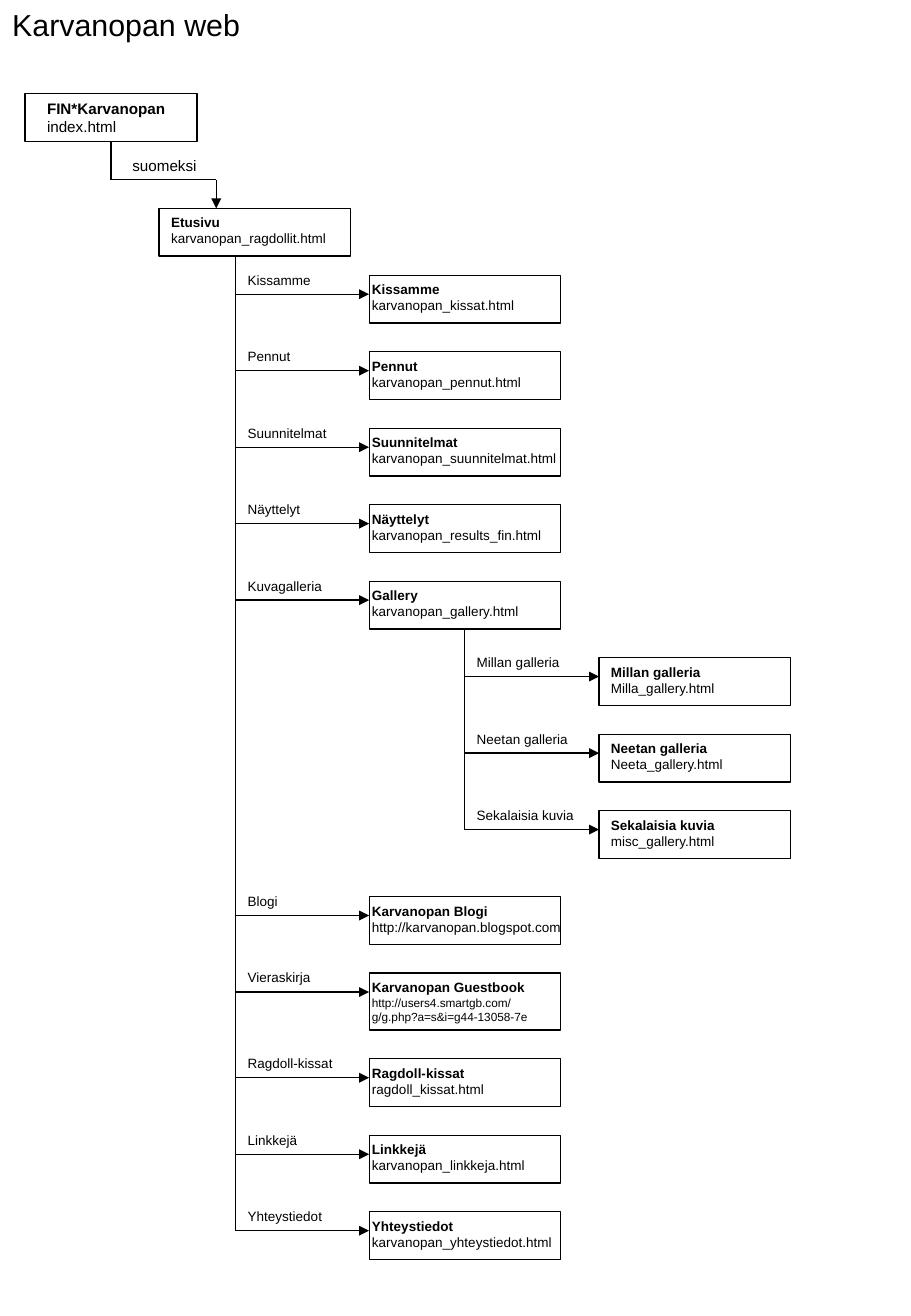
"""Site map of the Karvanopan web pages."""
from lxml import etree
from pptx import Presentation
from pptx.dml.color import RGBColor
from pptx.enum.shapes import MSO_CONNECTOR, MSO_SHAPE
from pptx.enum.text import MSO_ANCHOR, MSO_AUTO_SIZE, PP_ALIGN
from pptx.oxml.ns import qn
from pptx.util import Pt

RECTANGLE = MSO_SHAPE.RECTANGLE
STRAIGHT = MSO_CONNECTOR.STRAIGHT
TOP = MSO_ANCHOR.TOP
NO_FIT = MSO_AUTO_SIZE.NONE
LEFT = PP_ALIGN.LEFT
BOTTOM_SIDE = 2

COLORS = {"ink": "000000"}
INK = RGBColor.from_string(COLORS["ink"])
FONT = "Arial"

ROW_STEP = 45.36
BOX_WIDTH, BOX_HEIGHT = 113.4, 28.35
ARROW_DROP = 11.2
LABEL_RISE = 5.7
TRUNK_X, PAGE_X = 139.7, 218.8
GALLERY_TRUNK_X, GALLERY_PAGE_X = 275.5, 355.1
ELBOW_X, ELBOW_Y = 128.2, 106.6
ETUSIVU_X, ETUSIVU_Y = 94.3, 123.6

deck = Presentation()
deck.slide_width, deck.slide_height = Pt(540), Pt(780.48)
page = deck.slides.add_slide(deck.slide_layouts[5])


def write(box, lines):
    """Fill a box with (text, size, bold) lines."""
    frame = box.text_frame
    settings = {"word_wrap": True, "auto_size": NO_FIT, "vertical_anchor": TOP,
                "margin_left": Pt(7.2), "margin_right": Pt(7.2),
                "margin_top": Pt(3.6), "margin_bottom": Pt(3.6)}
    for name, value in settings.items():
        setattr(frame, name, value)
    for index, (text, size, bold) in enumerate(lines):
        para = frame.add_paragraph() if index else frame.paragraphs[0]
        para.alignment = LEFT
        span = para.add_run()
        span.text = text
        for name, value in {"name": FONT, "size": Pt(size), "bold": bold}.items():
            setattr(span.font, name, value)
        span.font.color.rgb = INK


def draw_line(x1, y1, x2, y2, arrow=False, source=None):
    """Draw a line, optionally with an arrowhead or joined to a box's bottom."""
    line = page.shapes.add_connector(STRAIGHT, Pt(x1), Pt(y1), Pt(x2), Pt(y2))
    if source is not None:
        line.begin_connect(source, BOTTOM_SIDE)
    line.line.color.rgb = INK
    line.line.width = Pt(0.75)
    properties = line.element.spPr
    if arrow:
        etree.SubElement(properties.find(qn("a:ln")), qn("a:tailEnd"), type="triangle")
    etree.SubElement(properties, qn("a:effectLst"))


title = page.shapes.title
title.left, title.top, title.width, title.height = Pt(0), Pt(0), Pt(160), Pt(29)
write(title, [("Karvanopan web", 18, False)])

main_rows = [
    ("Kissamme", "Kissamme", ["karvanopan_kissat.html"]),
    ("Pennut", "Pennut", ["karvanopan_pennut.html"]),
    ("Suunnitelmat", "Suunnitelmat", ["karvanopan_suunnitelmat.html"]),
    ("Näyttelyt", "Näyttelyt", ["karvanopan_results_fin.html"]),
    ("Kuvagalleria", "Gallery", ["karvanopan_gallery.html"]),
]
gallery_rows = [
    ("Millan galleria", "Millan galleria", ["Milla_gallery.html"]),
    ("Neetan galleria", "Neetan galleria", ["Neeta_gallery.html"]),
    ("Sekalaisia kuvia", "Sekalaisia kuvia", ["misc_gallery.html"]),
]
outside_rows = [
    ("Blogi", "Karvanopan Blogi", ["http://karvanopan.blogspot.com"]),
    ("Vieraskirja", "Karvanopan Guestbook",
     ["http://users4.smartgb.com/", "g/g.php?a=s&i=g44-13058-7e"]),
]
info_rows = [
    ("Ragdoll-kissat", "Ragdoll-kissat", ["ragdoll_kissat.html"]),
    ("Linkkejä", "Linkkejä", ["karvanopan_linkkeja.html"]),
    ("Yhteystiedot", "Yhteystiedot", ["karvanopan_yhteystiedot.html"]),
]
sections = [
    (163.3, TRUNK_X, PAGE_X, -5.4, main_rows),
    (390.1, GALLERY_TRUNK_X, GALLERY_PAGE_X, 0, gallery_rows),
    (531.8, TRUNK_X, PAGE_X, -5.4, outside_rows),
    (628, TRUNK_X, PAGE_X, -5.4, info_rows),
]

cards = [
    (14.8, 55.5, 102, BOX_HEIGHT, 6,
     [("FIN*Karvanopan", 9, True), ("index.html", 9, False)]),
    (ETUSIVU_X, ETUSIVU_Y, BOX_WIDTH, BOX_HEIGHT, 0,
     [("Etusivu", 8, True), ("karvanopan_ragdollit.html", 8, False)]),
]
labels = [("suomeksi", 9, 71.4, 89.3)]
arrows = [(ELBOW_X, ELBOW_Y, ELBOW_X, ETUSIVU_Y)]
trunk_ends = {}
for first_top, trunk_x, page_x, text_shift, rows in sections:
    for index, (label, heading, addresses) in enumerate(rows):
        top = first_top + index * ROW_STEP
        long_address = len(addresses) > 1
        height = 33.8 if long_address else BOX_HEIGHT
        size = 7 if long_address else 8
        lines = [(heading, 8, True)] + [(address, size, False) for address in addresses]
        cards.append((page_x, top, BOX_WIDTH, height, text_shift, lines))
        labels.append((label, 8, trunk_x, top - LABEL_RISE))
        arrows.append((trunk_x, top + ARROW_DROP, page_x, top + ARROW_DROP))
        trunk_ends[trunk_x] = top + ARROW_DROP

boxes = {}
for left, top, width, height, text_shift, lines in cards:
    box = page.shapes.add_shape(RECTANGLE, Pt(left), Pt(top), Pt(width), Pt(height))
    box.shadow.inherit = False
    box.fill.background()
    box.line.color.rgb = INK
    box.line.width = Pt(0.75)
    boxes[lines[0][0]] = box
    caption = page.shapes.add_textbox(Pt(left + text_shift), Pt(top), Pt(130), Pt(height))
    write(caption, lines)

for text, size, left, top in labels:
    caption = page.shapes.add_textbox(Pt(left), Pt(top), Pt(78), Pt(17))
    write(caption, [(text, size, False)])

draw_line(65.8, 83.85, 65.8, ELBOW_Y, source=boxes["FIN*Karvanopan"])
draw_line(65.8, ELBOW_Y, ELBOW_X, ELBOW_Y)
draw_line(TRUNK_X, ETUSIVU_Y + BOX_HEIGHT, TRUNK_X, trunk_ends[TRUNK_X])
draw_line(GALLERY_TRUNK_X, 373.1, GALLERY_TRUNK_X, trunk_ends[GALLERY_TRUNK_X],
          source=boxes["Gallery"])
for ends in arrows:
    draw_line(*ends, arrow=True)

deck.save("out.pptx")
